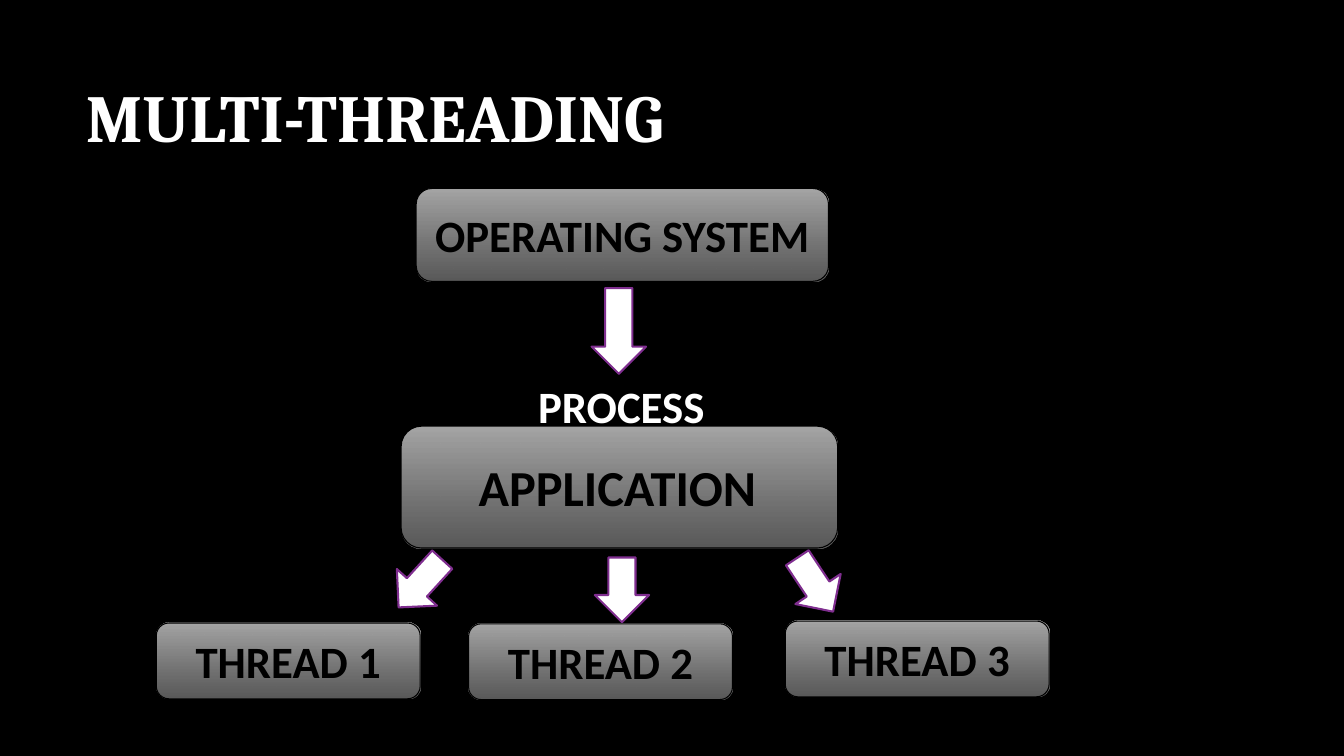
from lxml import etree
from pptx import Presentation
from pptx.dml.color import RGBColor
from pptx.enum.shapes import MSO_SHAPE as Shape
from pptx.enum.text import MSO_ANCHOR as Anchor, MSO_AUTO_SIZE as AutoSize, PP_ALIGN as Align
from pptx.oxml.ns import qn
from pptx.util import Cm, Pt

BLACK = RGBColor(0x00, 0x00, 0x00)
WHITE = RGBColor(0xFF, 0xFF, 0xFF)
LIGHT_GRAY = RGBColor(0xA6, 0xA6, 0xA6)
DARK_GRAY = RGBColor(0x79, 0x79, 0x79)
PURPLE = RGBColor(0x7F, 0x2E, 0x8F)


def add_text(shape, text, size, color, align, font="Calibri"):
    paragraph = shape.text_frame.paragraphs[0]
    paragraph.alignment = align
    run = paragraph.add_run()
    run.text = text
    run.font.name = font
    run.font.size = Pt(size)
    run.font.bold = True
    run.font.color.rgb = color


def add_block(kind, left, top, width, height, line_color, line_width):
    shape = slide.shapes.add_shape(kind, Cm(left), Cm(top), Cm(width), Cm(height))
    shape.shadow.inherit = False
    shape.line.color.rgb = line_color
    shape.line.width = Pt(line_width)
    return shape


presentation = Presentation()
presentation.slide_width = Cm(33.87)
presentation.slide_height = Cm(19.05)
slide = presentation.slides.add_slide(presentation.slide_layouts[5])
slide.background.fill.solid()
slide.background.fill.fore_color.rgb = BLACK

title = slide.shapes.title
title.left, title.top, title.width, title.height = Cm(1.91), Cm(0.89), Cm(28.14), Cm(4.04)
title.text_frame.vertical_anchor = Anchor.MIDDLE
title.text_frame.auto_size = AutoSize.NONE
add_text(title, "MULTI-THREADING", 48, WHITE, Align.LEFT, "Cambria")

boxes = [
    ("OPERATING SYSTEM", 10.49, 4.75, 10.39, 2.34),
    ("", 10.11, 10.74, 11, 3.07),
    ("THREAD 1", 3.94, 15.7, 6.65, 1.91),
    ("THREAD 2", 11.81, 15.72, 6.65, 1.91),
    ("THREAD 3", 19.79, 15.65, 6.65, 1.91),
]
for text, left, top, width, height in boxes:
    box = add_block(Shape.ROUNDED_RECTANGLE, left, top, width, height, BLACK, 0.75)
    box.fill.gradient()
    box.fill.gradient_angle = 270
    stops = box.fill.gradient_stops
    for stop, color, position in zip(stops, (LIGHT_GRAY, DARK_GRAY), (0, 1)):
        stop.color.rgb = color
        stop.position = position
    end_color = box.fill._xPr.findall(".//" + qn("a:srgbClr"))[1]
    etree.SubElement(end_color, qn("a:alpha"), val="74000")
    box.text_frame.vertical_anchor = Anchor.MIDDLE
    if text:
        add_text(box, text, 32, BLACK, Align.CENTER)

arrows = [
    (14.91, 7.26, 2.16, 0),
    (14.99, 14.05, 1.63, 0),
    (9.91, 13.89, 1.63, 42.4),
    (19.86, 13.92, 1.63, 326.4),
]
for left, top, height, rotation in arrows:
    arrow = add_block(Shape.DOWN_ARROW, left, top, 1.37, height, PURPLE, 1.5)
    arrow.fill.solid()
    arrow.fill.fore_color.rgb = WHITE
    arrow.rotation = rotation

labels = [
    ("APPLICATION", 11.81, 11.38, 7.59, 1.8, 36, BLACK),
    ("PROCESS", 13.31, 9.42, 4.75, 1.63, 32, WHITE),
]
for text, left, top, width, height, size, color in labels:
    label = slide.shapes.add_textbox(Cm(left), Cm(top), Cm(width), Cm(height))
    label.text_frame.word_wrap = False
    label.text_frame.auto_size = AutoSize.SHAPE_TO_FIT_TEXT
    add_text(label, text, size, color, Align.LEFT)

presentation.save("out.pptx")
